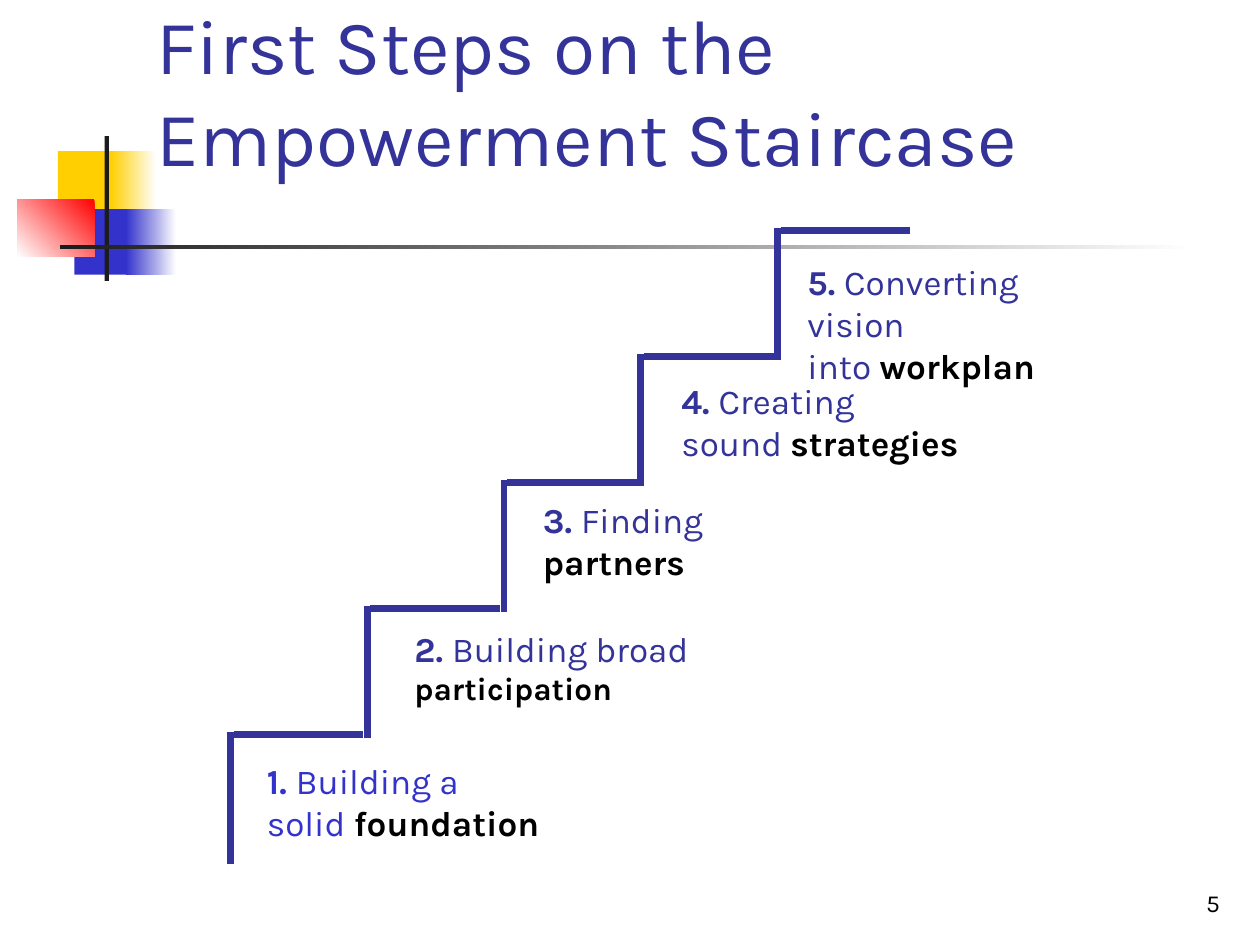
from dataclasses import dataclass

from lxml import etree
from pptx import Presentation
from pptx import util as u
from pptx.dml.color import RGBColor
from pptx.enum import shapes, text
from pptx.oxml.ns import qn

COLUMNS, ROWS = 100, 75
CELL = u.Inches(0.1)


@dataclass(frozen=True)
class Theme:
    font: str = "Karla"
    indigo: str = "333399"
    blue: str = "3333CC"
    yellow: str = "FFCF01"
    red: str = "FF0000"
    dark: str = "1C1C1C"
    black: str = "000000"
    white: str = "FFFFFF"
    title_size: float = 44
    step_size: float = 20
    small_size: float = 18
    number_size: float = 14
    stair_width: float = 4


THEME = Theme()


@dataclass(frozen=True)
class Area:
    """A rectangle in grid columns and rows."""
    left: float
    top: float
    width: float
    height: float

    def lengths(self) -> list[int]:
        return [cells(n) for n in (self.left, self.top, self.width, self.height)]


@dataclass(frozen=True)
class Block:
    """A decoration: plain, or fading from start to end at a counter-clockwise angle."""
    area: Area
    start: str
    end: str = ""
    angle: float = 180


@dataclass(frozen=True)
class Step:
    area: Area
    opening: str
    lead: str
    keyword: str
    color: str = THEME.indigo
    keyword_size: float = THEME.step_size
    wrap: bool = True


BLOCKS = [
    Block(Area(4.6, 12, 4.8, 5.2), THEME.yellow),
    Block(Area(8.8, 12, 3.6, 5.2), THEME.white, THEME.yellow),
    Block(Area(5.9, 16.6, 4.6, 5.2), THEME.blue),
    Block(Area(10, 16.6, 4, 5.2), THEME.white, THEME.blue),
    Block(Area(1.4, 15.8, 6.1, 4.6), THEME.red, THEME.white, 225),
    Block(Area(8.3, 10.8, 0.35, 11.5), THEME.dark),
    Block(Area(4.8, 19.45, 90, 0.35), THEME.white, THEME.dark),
]

STEPS = [
    Step(Area(20.2, 59.8, 24.4, 7.6), "Building a", "solid ", "foundation",
         color=THEME.blue, wrap=False),
    Step(Area(31.9, 49.3, 26.8, 7.4), "Building broad", "", "participation",
         keyword_size=THEME.small_size),
    Step(Area(42.1, 39.1, 20.5, 7.7), "Finding", "", "partners"),
    Step(Area(53.1, 29.6, 26, 7.7), "Creating", "sound ", "strategies"),
    Step(Area(63.1, 20.2, 27, 11), "Converting vision", "into ", "workplan"),
]

STAIR_LEFT, STAIR_FOOT = 18.3, 68.6
STEP_RUN, STEP_RISE = 10.85, 10
TREAD, RISER = 10.3, 10.5


def cells(count: float) -> int:
    return round(count * CELL)


def rgb(color: str) -> RGBColor:
    return RGBColor.from_string(color)


def add_span(para, words: str, size: float, color: str, bold: bool = False) -> None:
    span = para.add_run()
    span.text = words
    span.font.name = THEME.font
    span.font.size = u.Pt(size)
    span.font.bold = bold
    span.font.color.rgb = rgb(color)


def draw_block(page, block: Block) -> None:
    shape = page.shapes.add_shape(shapes.MSO_SHAPE.RECTANGLE, *block.area.lengths())
    shape.shadow.inherit = False
    shape.line.fill.background()
    if block.end:
        shape.fill.gradient()
        shape.fill.gradient_angle = block.angle
        for stop, color in zip(shape.fill.gradient_stops, (block.start, block.end)):
            stop.color.rgb = rgb(color)
    else:
        shape.fill.solid()
        shape.fill.fore_color.rgb = rgb(block.start)


def draw_line(page, x1: float, y1: float, x2: float, y2: float) -> None:
    line = page.shapes.add_connector(
        shapes.MSO_CONNECTOR.STRAIGHT, cells(x1), cells(y1), cells(x2), cells(y2))
    line.line.color.rgb = rgb(THEME.indigo)
    line.line.width = u.Pt(THEME.stair_width)
    etree.SubElement(line._element.spPr, qn("a:effectLst"))


def draw_stair(page, index: int) -> None:
    """Draw one riser and the tread above it."""
    x = STAIR_LEFT + index * STEP_RUN
    foot = STAIR_FOOT - index * STEP_RISE
    tread_left, tread_top = x + 0.25, foot - RISER + 0.2
    draw_line(page, x, foot, x, foot - RISER)
    draw_line(page, tread_left, tread_top, tread_left + TREAD, tread_top)


def draw_label(page, number: int, step: Step) -> None:
    frame = page.shapes.add_textbox(*step.area.lengths()).text_frame
    frame.word_wrap = step.wrap
    frame.auto_size = text.MSO_AUTO_SIZE.SHAPE_TO_FIT_TEXT
    first = frame.paragraphs[0]
    add_span(first, f"{number}. ", THEME.step_size, step.color, bold=True)
    add_span(first, step.opening, THEME.step_size, step.color)
    second = frame.add_paragraph()
    if step.lead:
        add_span(second, step.lead, THEME.step_size, step.color)
    add_span(second, step.keyword, step.keyword_size, THEME.black, bold=True)


def fill_title(page) -> None:
    title = page.shapes.title
    title.left, title.top, title.width, title.height = Area(11.4, -2.5, 76.9, 19.2).lengths()
    frame = title.text_frame
    frame.auto_size = text.MSO_AUTO_SIZE.NONE
    frame.vertical_anchor = text.MSO_ANCHOR.MIDDLE
    para = frame.paragraphs[0]
    para.alignment = text.PP_ALIGN.LEFT
    add_span(para, "First Steps on the ", THEME.title_size, THEME.indigo)
    para.add_line_break()
    add_span(para, "Empowerment Staircase", THEME.title_size, THEME.indigo)


def draw_page_number(page) -> None:
    frame = page.shapes.add_textbox(*Area(77, 68.3, 20.8, 5).lengths()).text_frame
    frame.word_wrap = True
    frame.vertical_anchor = text.MSO_ANCHOR.BOTTOM
    para = frame.paragraphs[0]
    para.alignment = text.PP_ALIGN.RIGHT
    add_span(para, "5", THEME.number_size, THEME.black)


def main() -> None:
    deck = Presentation()
    deck.slide_width, deck.slide_height = cells(COLUMNS), cells(ROWS)
    page = deck.slides.add_slide(deck.slide_layouts.get_by_name("Title Only"))
    for block in BLOCKS:
        draw_block(page, block)
    fill_title(page)
    for index in range(len(STEPS)):
        draw_stair(page, index)
    for number, step in enumerate(STEPS, start=1):
        draw_label(page, number, step)
    draw_page_number(page)
    deck.save("out.pptx")


if __name__ == "__main__":
    main()
